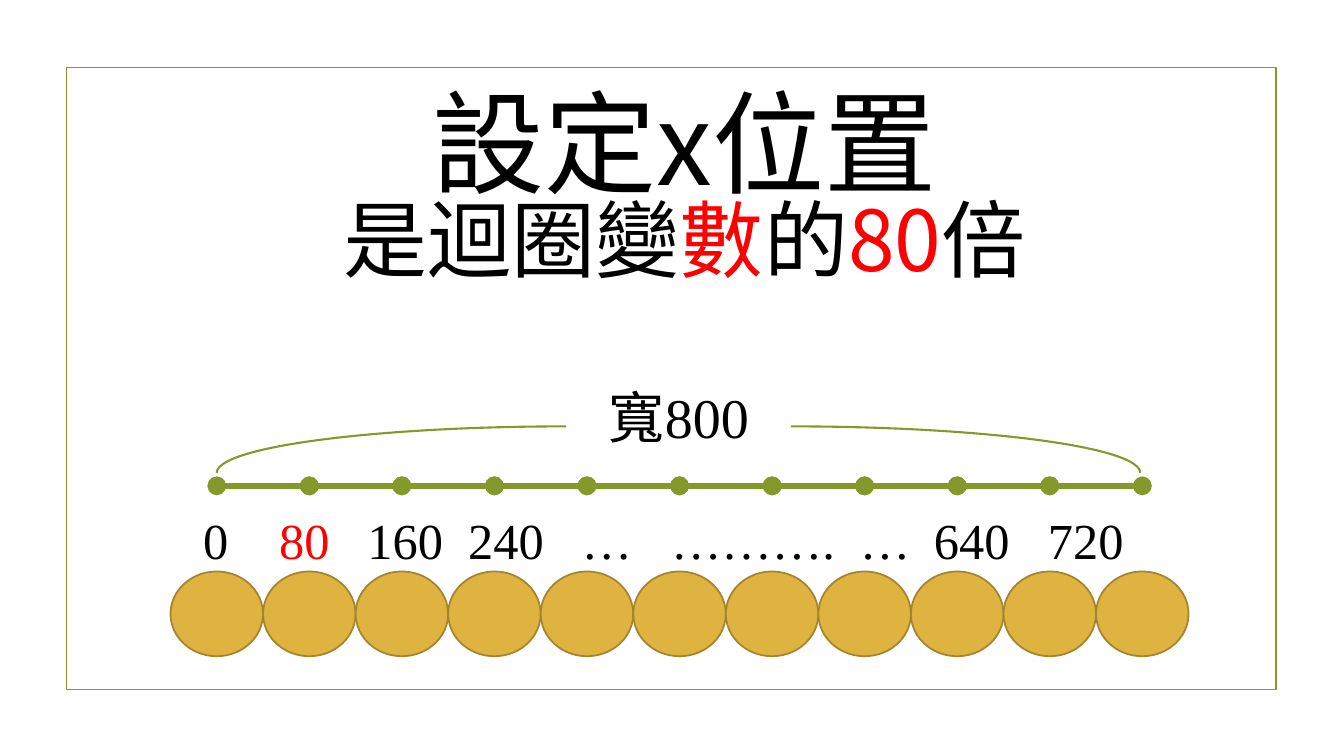
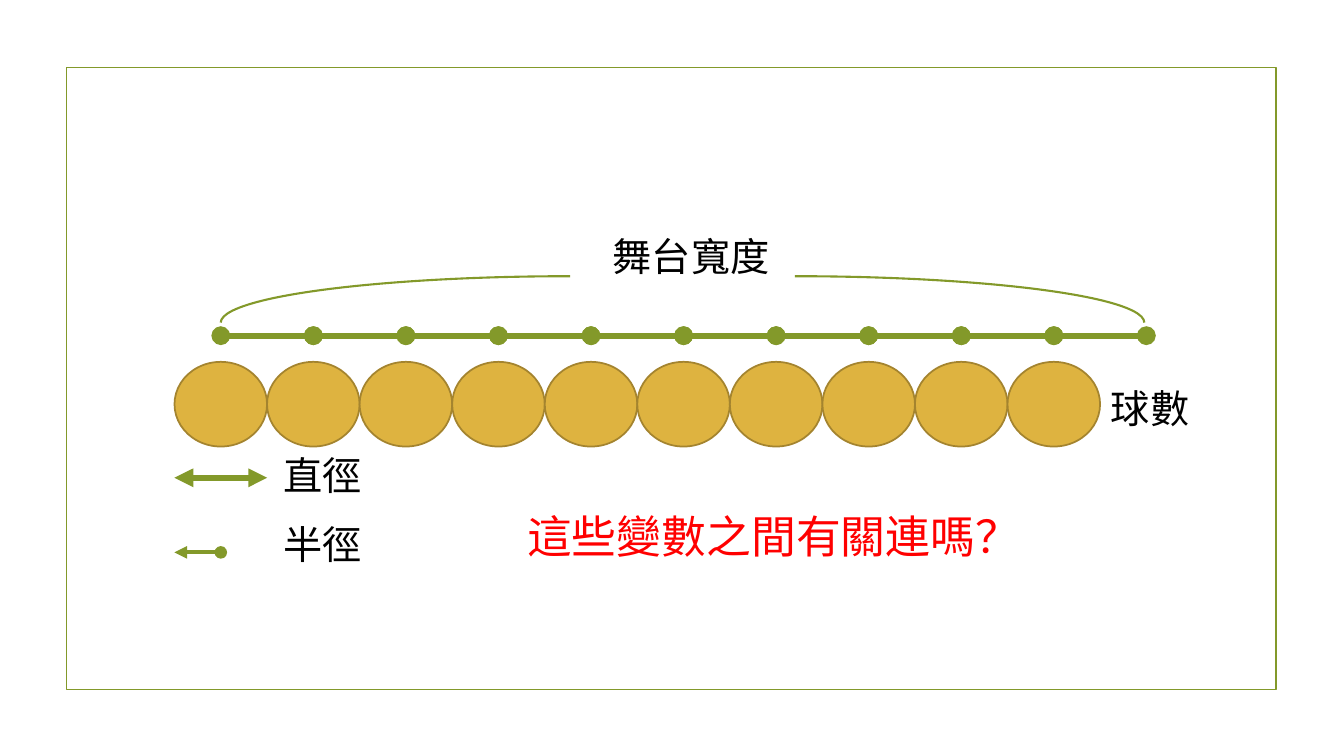
import lxml.etree
import pptx
import pptx.dml.color
import pptx.enum.shapes
import pptx.enum.text
import pptx.oxml.ns
import pptx.util

Inches, Pt, qn = pptx.util.Inches, pptx.util.Pt, pptx.oxml.ns.qn
color = pptx.dml.color.RGBColor.from_string
SHAPE = pptx.enum.shapes.MSO_SHAPE
GREEN, GOLD, BROWN = "83992A", "DEB340", "A4842F"
BLACK, RED = "000000", "FF0000"
CJK_FONT, LATIN_FONT = "Noto Sans CJK SC", "Times New Roman"

STAGE_WIDTH = 9.18
STEP = STAGE_WIDTH / 10
BALL_HEIGHT = 0.84
ARC_WIDTH, ARC_HEIGHT, ARC_RISE = 6.93, 0.92, 0.59


def format_text(paragraph, size, text_color=BLACK, latin=LATIN_FONT):
    paragraph.font.size = Pt(size)
    paragraph.font.color.rgb = color(text_color)
    paragraph.font.name = latin
    defaults = paragraph._p.pPr.find(qn("a:defRPr"))
    lxml.etree.SubElement(defaults, qn("a:ea"), typeface=CJK_FONT)


def add_line(slide, start, end, width, head, tail):
    """Draw a green line with the given end marks; points are in inches."""
    line = slide.shapes.add_connector(
        pptx.enum.shapes.MSO_CONNECTOR.STRAIGHT,
        *(Inches(value) for value in (*start, *end)))
    line.line.color.rgb = color(GREEN)
    line.line.width = Pt(width)
    ln = line.line._get_or_add_ln()
    lxml.etree.SubElement(ln, qn("a:headEnd"), type=head)
    lxml.etree.SubElement(ln, qn("a:tailEnd"), type=tail)
    lxml.etree.SubElement(line._element.spPr, qn("a:effectLst"))


deck = pptx.Presentation()
deck.slide_width, deck.slide_height = Inches(13.33), Inches(7.5)
position_slide = deck.slides.add_slide(deck.slide_layouts[5])
relation_slide = deck.slides.add_slide(deck.slide_layouts[6])

# The frame belongs to the master, so every slide shows it
frame = position_slide.shapes.add_shape(
    SHAPE.RECTANGLE, Inches(0.66), Inches(0.67), Inches(12), Inches(6.17))
frame.shadow.inherit = False
frame.fill.background()
frame.line.color.rgb = color(GREEN)
frame.line.width = Pt(1.25)
deck.slide_master.shapes._spTree.insert(2, frame._element)

# Title of the first slide
title = position_slide.shapes.title
title.left, title.top = Inches(1.09), Inches(0.81)
title.width, title.height = Inches(11.4), Inches(5.56)
heading = title.text_frame
heading.vertical_anchor = pptx.enum.text.MSO_ANCHOR.TOP
heading.margin_top = Inches(0.18)
heading.auto_size = pptx.enum.text.MSO_AUTO_SIZE.NONE
heading.add_paragraph()
title_lines = [
    (80, [("設定x位置", BLACK)]),
    (60, [("是迴圈變", BLACK), ("數", RED), ("的", BLACK),
          ("80", RED), ("倍", BLACK)]),
]
for paragraph, (size, parts) in zip(heading.paragraphs, title_lines):
    paragraph.alignment = pptx.enum.text.PP_ALIGN.CENTER
    paragraph.line_spacing = 0.8
    paragraph.space_before = Pt(0)
    format_text(paragraph, size, latin=CJK_FONT)
    for text, part_color in parts:
        run = paragraph.add_run()
        run.text = text
        run.font.color.rgb = color(part_color)

# Stage ruler, width bracket and row of balls on both slides
stages = [
    (position_slide, 2.15, 4.82, 5.67, 11),
    (relation_slide, 2.19, 3.33, 3.59, 10),
]
for slide, left, ruler_y, balls_top, ball_count in stages:
    for index in range(10):
        x = left + index * STEP
        add_line(slide, (x, ruler_y), (x + STEP, ruler_y), 4.5, "oval", "oval")

    for arc_left, flipped in ((left + STAGE_WIDTH - ARC_WIDTH - 0.02, False),
                              (left, True)):
        arc = slide.shapes.add_shape(
            SHAPE.ARC, Inches(arc_left), Inches(ruler_y - ARC_RISE),
            Inches(ARC_WIDTH), Inches(ARC_HEIGHT))
        arc.shadow.inherit = False
        arc.fill.background()
        arc.line.color.rgb = color(GREEN)
        arc.line.width = Pt(1.5)
        if flipped:
            arc._element.spPr.xfrm.set("flipH", "1")

    for index in range(ball_count):
        ball = slide.shapes.add_shape(
            SHAPE.OVAL, Inches(left + (index - 0.5) * STEP), Inches(balls_top),
            Inches(STEP), Inches(BALL_HEIGHT))
        ball.shadow.inherit = False
        ball.fill.solid()
        ball.fill.fore_color.rgb = color(GOLD)
        ball.line.color.rgb = color(BROWN)
        ball.line.width = Pt(1.25)

# Diameter and radius of the first ball
add_line(relation_slide, (1.73, 4.74), (2.65, 4.74), 4.5, "triangle", "triangle")
add_line(relation_slide, (2.19, 5.48), (1.73, 5.48), 3, "oval", "triangle")

labels = [
    (position_slide, "寬800", 5.94, 3.75, 1.72, 0.77, 40, BLACK),
    (relation_slide, "舞台寬度", 5.98, 2.26, 1.9, 0.57, 28, BLACK),
    (relation_slide, "直徑", 2.71, 4.43, 1.9, 0.57, 28, BLACK),
    (relation_slide, "半徑", 2.71, 5.11, 1.9, 0.57, 28, BLACK),
    (relation_slide, "球數", 10.92, 3.76, 1.9, 0.57, 28, BLACK),
    (relation_slide, "這些變數之間有關連嗎？", 5.13, 5, 7.12, 0.64, 32, RED),
]
for slide, text, left, top, width, height, size, text_color in labels:
    label = slide.shapes.add_textbox(
        Inches(left), Inches(top), Inches(width), Inches(height)).text_frame
    label.word_wrap = True
    label.text = text
    format_text(label.paragraphs[0], size, text_color)

# Ruler values, each centred on its own tab stop
ruler_values = [
    ("0", 0.24), ("80", 1.12), ("160", 2.12), ("240", 3.12), ("…", 4.12),
    ("……….", 5.57), ("…", 6.88), ("640", 7.74), ("720", 8.87),
]
scale = position_slide.shapes.add_textbox(
    Inches(1.8), Inches(5), Inches(9.73), Inches(0.71)).text_frame
scale.word_wrap = True
scale_line = scale.paragraphs[0]
format_text(scale_line, 36)
tab_stops = lxml.etree.Element(qn("a:tabLst"))
scale_line._p.pPr.insert(0, tab_stops)
for value, center in ruler_values:
    lxml.etree.SubElement(
        tab_stops, qn("a:tab"), pos=str(int(Inches(center))), algn="ctr")
    run = scale_line.add_run()
    run.text = "\t" + value
    if value == "80":
        run.font.color.rgb = color(RED)

deck.save("out.pptx")
